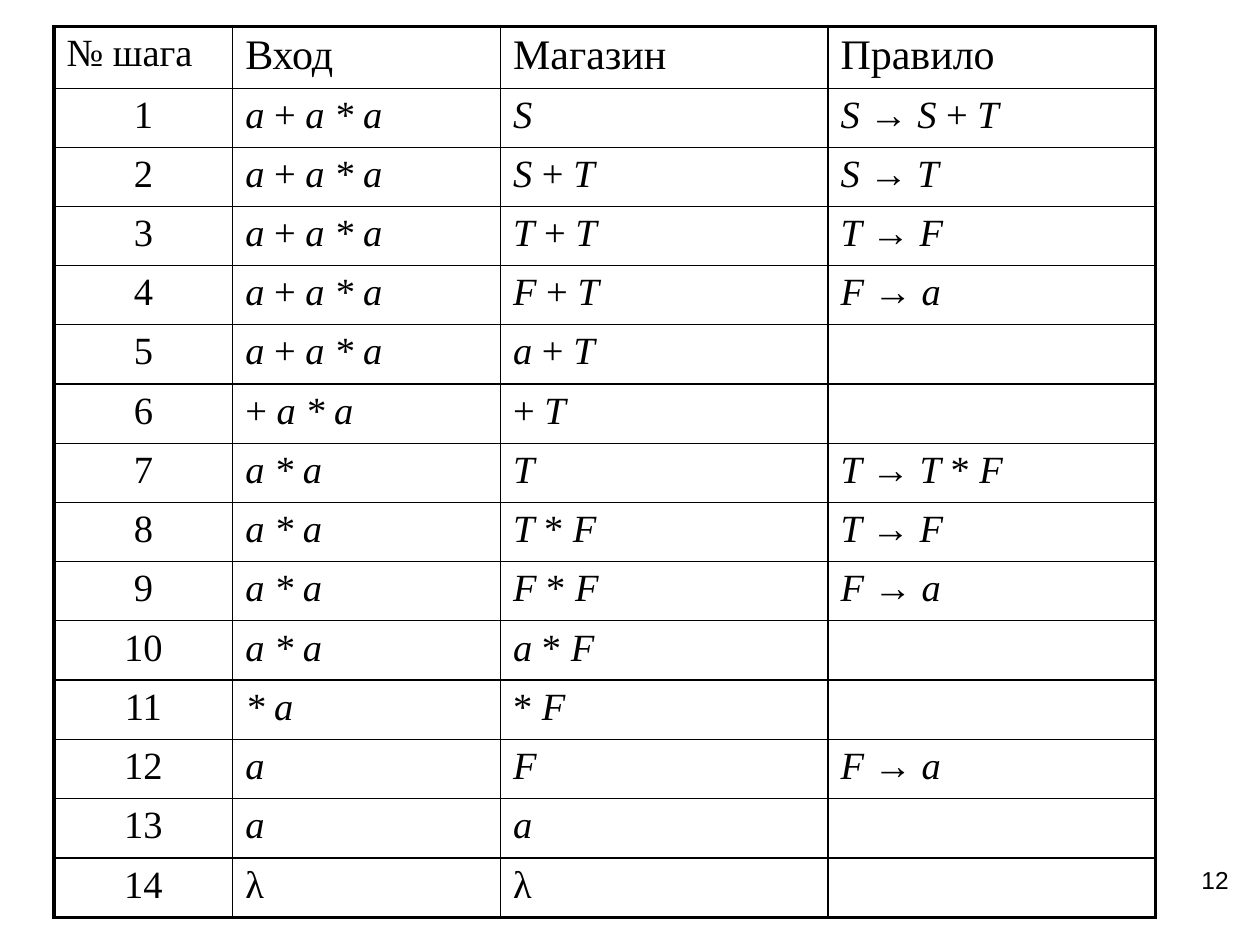
from typing import NamedTuple

from lxml import etree
from pptx import Presentation
from pptx.dml.color import RGBColor
from pptx.enum.text import PP_ALIGN
from pptx.oxml.ns import qn
from pptx.util import Cm, Pt

BLACK = RGBColor(0x00, 0x00, 0x00)
LEFT, CENTER, RIGHT = PP_ALIGN.LEFT, PP_ALIGN.CENTER, PP_ALIGN.RIGHT
SERIF, SANS = "Times New Roman", "Arial"
NO_BREAK_SPACE = chr(160)
THIN, THICK = Pt(1), Pt(2.25)

COLUMN_WIDTHS = [Cm(3.6), Cm(5.4), Cm(6.6), Cm(6.6)]
HEADER_HEIGHT, STEP_HEIGHT = Cm(1.25), Cm(1.19)
HEADERS = ["№ шага", "Вход", "Магазин", "Правило"]
HEADER_SIZES = [22, 24, 24, 24]
STEP_SIZE = 22


class Step(NamedTuple):
    """One parser step: _..._ marks italics and ~ a no-break space."""
    source: str
    stack: str
    rule: str = ""


STEPS = [
    Step("_a~_+~_a * a_", "_S~_", "_S_~→~_S~_+~_T~_"),
    Step("_a~_+~_a * a_", "_S~_+~_T_", "_S_~→~_T_"),
    Step("_a~_+~_a * a_", "_T~_+~_T_", "_T_~→~_F_"),
    Step("_a~_+~_a * a_", "_F~_+~_T_", "_F_~→~_a_"),
    Step("_a~_+~_a * a_", "_a~_+~_T_"),
    Step("+~_a * a_", "+~_T_"),
    Step("_a * a_", "_T_", "_T_~→~_T~_*~_F_"),
    Step("_a * a_", "_T~_*~_F_", "_T_~→~_F_"),
    Step("_a * a_", "_F~_*~_F_", "_F_~→~_a_"),
    Step("_a * a_", "_a~_*~_F_"),
    Step("_* a_", "*~_F_"),
    Step("_a_", "_F_", "_F_~→~_a_"),
    Step("_a_", "_a_"),
    Step("λ", "λ"),
]


def write_text(paragraph, markup: str, size: float, font_name: str, alignment) -> None:
    paragraph.alignment = alignment
    paragraph.font.size = Pt(size)
    for index, text in enumerate(markup.replace("~", NO_BREAK_SPACE).split("_")):
        if not text:
            continue
        run = paragraph.add_run()
        run.text = text
        font_format = {"name": font_name, "size": Pt(size), "italic": index % 2 == 1}
        for attribute, value in font_format.items():
            setattr(run.font, attribute, value)
        run.font.color.rgb = BLACK


def set_borders(cell, widths: dict) -> None:
    properties = cell._tc.get_or_add_tcPr()
    for side, width in widths.items():
        line = etree.SubElement(properties, qn(f"a:ln{side}"), w=str(int(width)))
        fill = etree.SubElement(line, qn("a:solidFill"))
        etree.SubElement(fill, qn("a:srgbClr"), val=str(BLACK))


def add_steps_table(slide) -> None:
    rows = [HEADERS] + [[str(number), *step] for number, step in enumerate(STEPS, 1)]
    heights = [HEADER_HEIGHT] + [STEP_HEIGHT] * len(STEPS)
    last_row, last_column = len(rows) - 1, len(HEADERS) - 1
    table = slide.shapes.add_table(
        len(rows), len(HEADERS), Cm(1.09), Cm(0.53), sum(COLUMN_WIDTHS), sum(heights)
    ).table
    table.first_row = table.horz_banding = False
    for column, width in zip(table.columns, COLUMN_WIDTHS):
        column.width = width
    for row_index, (texts, height) in enumerate(zip(rows, heights)):
        table.rows[row_index].height = height
        for column_index, text in enumerate(texts):
            cell = table.cell(row_index, column_index)
            is_header = row_index == 0
            size = HEADER_SIZES[column_index] if is_header else STEP_SIZE
            alignment = CENTER if column_index == 0 and not is_header else LEFT
            write_text(cell.text_frame.paragraphs[0], text, size, SERIF, alignment)
            set_borders(cell, {
                "L": THICK if column_index == 0 else THIN,
                "R": THICK if column_index == last_column else THIN,
                "T": THICK if is_header else THIN,
                "B": THICK if row_index == last_row else THIN,
            })
            cell.fill.background()


def add_slide_number(slide, number: int) -> None:
    box = slide.shapes.add_textbox(Cm(19.1), Cm(17.32), Cm(5.92), Cm(1.32))
    box.text_frame.word_wrap = True
    write_text(box.text_frame.paragraphs[0], str(number), 14, SANS, RIGHT)


def main() -> None:
    presentation = Presentation()
    presentation.slide_width, presentation.slide_height = Cm(25.4), Cm(19.05)
    slide = presentation.slides.add_slide(presentation.slide_layouts[6])
    add_steps_table(slide)
    add_slide_number(slide, 12)
    presentation.save("out.pptx")


if __name__ == "__main__":
    main()
